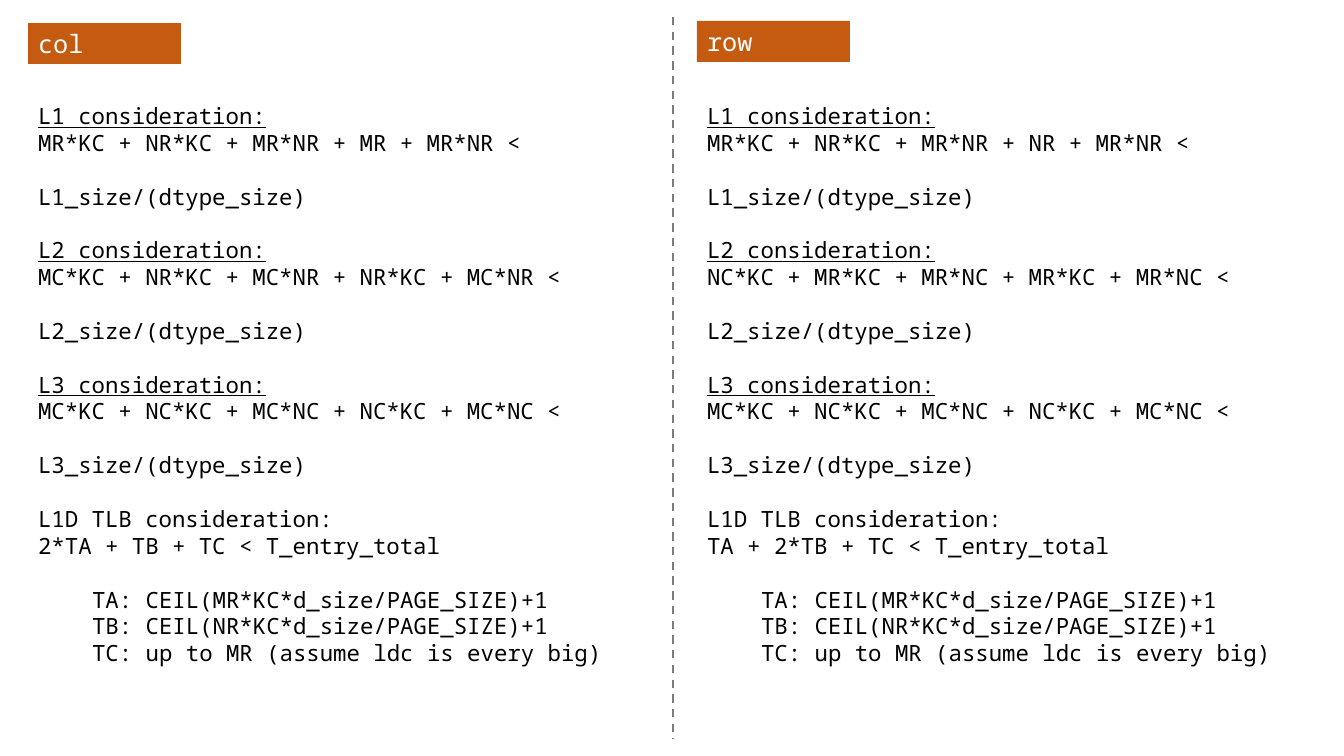
from pptx import Presentation
from pptx.dml.color import RGBColor
from pptx.enum.dml import MSO_LINE
from pptx.enum.shapes import MSO_CONNECTOR
from pptx.enum.text import MSO_ANCHOR, MSO_AUTO_SIZE, PP_ALIGN
from pptx.oxml.ns import qn
from pptx.util import Pt
from lxml import etree

DASH = MSO_LINE.DASH
STRAIGHT = MSO_CONNECTOR.STRAIGHT
TOP, MIDDLE = MSO_ANCHOR.TOP, MSO_ANCHOR.MIDDLE
NO_FIT = MSO_AUTO_SIZE.NONE
LEFT = PP_ALIGN.LEFT

COLORS = {"label": "C55A11", "light": "FFFFFF", "text": "000000", "rule": "7C7C7C"}
FONT = "Noto Sans Mono"
GAP = Pt(19.2)
INDENT = 54


def px(count):
    """Turn pixels into EMU at 100.8 pixels to the inch."""
    return round(count * 914400 / 100.8)


def fill_text(holder, box, lines, size, color, anchor):
    """Place a holder and write lines of (text, underline, gap, indent)."""
    holder.left, holder.top, holder.width, holder.height = map(px, box)
    frame = holder.text_frame
    frame.text = "\n".join(line[0] for line in lines)
    frame.auto_size = NO_FIT
    frame.vertical_anchor = anchor
    for para, (_, under, gap, indent) in zip(frame.paragraphs, lines):
        para.alignment = LEFT
        para.line_spacing = 1.0
        para.space_before = GAP if gap else Pt(0)
        para.space_after = Pt(0)
        props = para._p.get_or_add_pPr()
        props.set("marL", str(px(indent)))
        props.set("indent", "0")
        etree.SubElement(props, qn("a:buNone"))
        for run in para.runs:
            font = run.font
            font.name, font.size = FONT, Pt(size)
            font.bold, font.underline = False, under
            font.color.rgb = RGBColor.from_string(COLORS[color])


deck = Presentation()
deck.slide_width, deck.slide_height = px(1344), px(756)
slide = deck.slides.add_slide(deck.slide_layouts.get_by_name("Comparison"))
title = slide.shapes.title
title._element.getparent().remove(title._element)
holders = {item.placeholder_format.idx: item for item in slide.placeholders}

rule = slide.shapes.add_connector(STRAIGHT, px(673), px(17), px(673), px(739))
rule.line.color.rgb = RGBColor.from_string(COLORS["rule"])
rule.line.width = Pt(1.5)
rule.line.dash_style = DASH
etree.SubElement(rule._element.spPr, qn("a:effectLst"))

# Each column: label, left, label top, sums for L1 to L3, TLB sum
columns = [
    ("col", 28, 23,
     ["MR*KC + NR*KC + MR*NR + MR + MR*NR <",
      "MC*KC + NR*KC + MC*NR + NR*KC + MC*NR <",
      "MC*KC + NC*KC + MC*NC + NC*KC + MC*NC <"],
     "2*TA + TB + TC < T_entry_total"),
    ("row", 697, 21,
     ["MR*KC + NR*KC + MR*NR + NR + MR*NR <",
      "NC*KC + MR*KC + MR*NC + MR*KC + MR*NC <",
      "MC*KC + NC*KC + MC*NC + NC*KC + MC*NC <"],
     "TA + 2*TB + TC < T_entry_total"),
]
terms = [
    "TA: CEIL(MR*KC*d_size/PAGE_SIZE)+1",
    "TB: CEIL(NR*KC*d_size/PAGE_SIZE)+1",
    "TC: up to MR (assume ldc is every big)",
]

for side, (name, left, top, sums, total) in enumerate(columns):
    label, body = holders[2 * side + 1], holders[2 * side + 2]
    label.fill.solid()
    label.fill.fore_color.rgb = RGBColor.from_string(COLORS["label"])
    fill_text(label, (left, top, 153, 41), [(name, False, False, 0)],
              18, "light", MIDDLE)

    lines = []
    for level, cache in enumerate(sums, 1):
        lines += [(f"L{level} consideration:", True, level > 1, 0),
                  (cache, False, False, 0),
                  (f"L{level}_size/(dtype_size)", False, True, 0)]
    lines += [("L1D TLB consideration:", False, True, 0),
              (total, False, False, 0)]
    lines += [(term, False, row == 0, INDENT) for row, term in enumerate(terms)]
    fill_text(body, (left, 97, 622, 580), lines, 16, "text", TOP)

deck.save("out.pptx")
